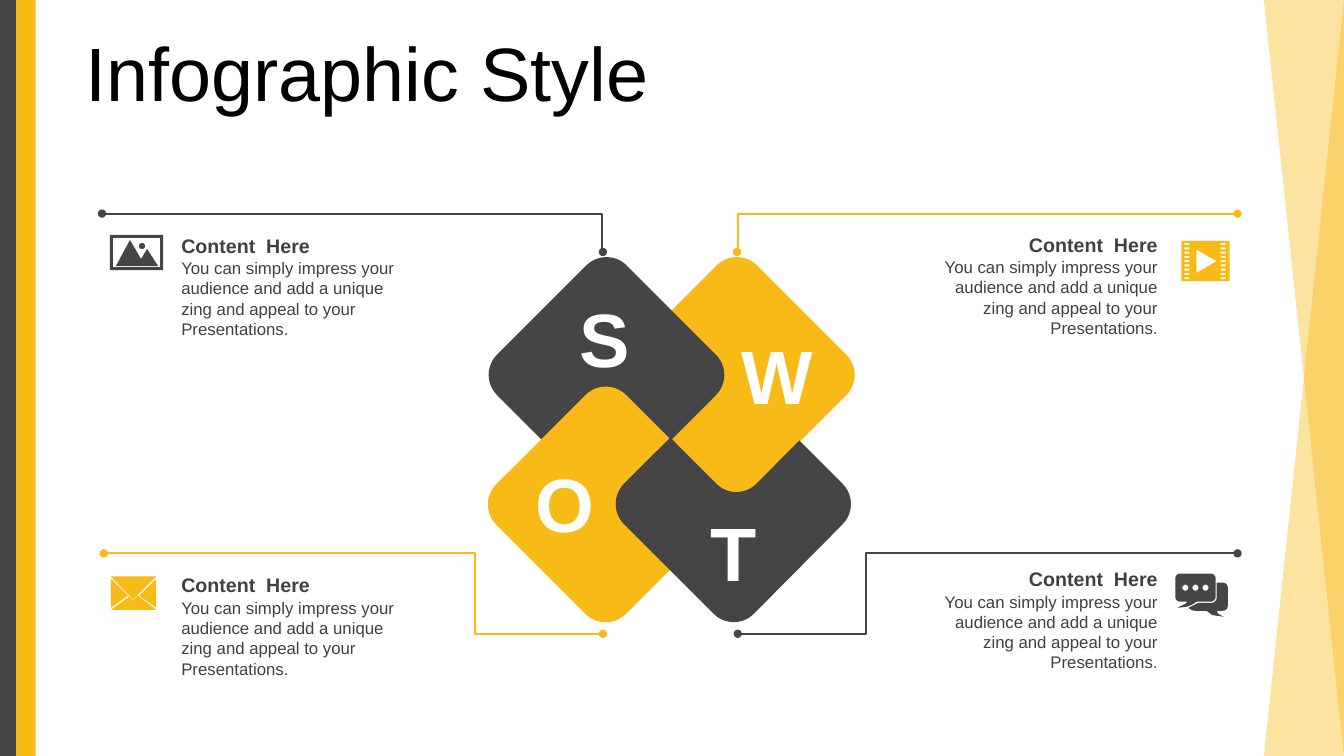
from math import cos, hypot, pi, sin

from lxml.etree import SubElement
from pptx import Presentation
from pptx.dml.color import RGBColor
from pptx.enum.shapes import MSO_CONNECTOR as CONN, MSO_SHAPE as SHAPE
from pptx.enum.text import MSO_ANCHOR as ANCHOR, MSO_AUTO_SIZE as FIT, PP_ALIGN as ALIGN
from pptx.oxml.ns import qn
from pptx.util import Pt

DARK = RGBColor(0x45, 0x45, 0x45)
YELLOW = RGBColor(0xF8, 0xBA, 0x16)
BODY = RGBColor(0x40, 0x40, 0x40)
BLACK = RGBColor(0, 0, 0)
WHITE = RGBColor(255, 255, 255)
HEADING = "Content  Here"
MESSAGE = ("You can simply impress your audience and add a unique "
           "zing and appeal to your Presentations.")


def paint(sp, color):
    sp.shadow.inherit = False
    sp.fill.solid()
    sp.fill.fore_color.rgb = color
    sp.line.fill.background()


def add_block(s, kind, x, y, w, h, color):
    sp = s.shapes.add_shape(kind, Pt(x), Pt(y), Pt(w), Pt(h))
    paint(sp, color)
    return sp


def add_wedge(s, flip_v):
    sp = add_block(s, SHAPE.RIGHT_TRIANGLE, 902.8, 0, 57.2, 540, YELLOW)
    xfrm = sp.element.spPr.find(qn("a:xfrm"))
    xfrm.set("flipH", "1")
    if flip_v:
        xfrm.set("flipV", "1")
    color = sp.element.spPr.find(qn("a:solidFill"))[0]
    SubElement(color, qn("a:alpha")).set("val", "40000")


def add_diamond(s, x, y, color):
    sp = add_block(s, SHAPE.ROUNDED_RECTANGLE, x, y, 131, 131, color)
    sp.adjustments[0] = 0.156
    sp.rotation = 315


def add_text(s, text, x, y, w, h, size=12, color=BODY, bold=False,
             align=ALIGN.LEFT, anchor=ANCHOR.TOP, fit=FIT.SHAPE_TO_FIT_TEXT, spacing=1.0):
    tf = s.shapes.add_textbox(Pt(x), Pt(y), Pt(w), Pt(h)).text_frame
    tf.word_wrap = True
    tf.auto_size = fit
    tf.vertical_anchor = anchor
    p = tf.paragraphs[0]
    p.alignment = align
    p.line_spacing = spacing
    r = p.add_run()
    r.text = text
    r.font.name = "Arial"
    r.font.size = Pt(size)
    r.font.bold = bold
    r.font.color.rgb = color


def add_note(s, x, y, w, body_gap, align):
    add_text(s, HEADING, x, y, w, 24.5, size=14, bold=True, align=align, anchor=ANCHOR.MIDDLE)
    add_text(s, MESSAGE, x, y + body_gap, w, 65.5, align=align)


def add_leader(s, start, end, bend, color):
    c = s.shapes.add_connector(CONN.ELBOW, *(Pt(v) for v in start + end))
    c.line.color.rgb = color
    c.line.width = Pt(1.5)
    spPr = c.element.spPr
    guide = SubElement(spPr.find(qn("a:prstGeom")).find(qn("a:avLst")), qn("a:gd"))
    guide.set("name", "adj1")
    guide.set("fmla", f"val {bend}")
    for tag in ("a:headEnd", "a:tailEnd"):
        SubElement(spPr.find(qn("a:ln")), qn(tag)).set("type", "oval")
    SubElement(spPr, qn("a:effectLst"))


def add_outline(s, contours, color):
    contours = [[(Pt(x), Pt(y)) for x, y in c] for c in contours]
    builder = s.shapes.build_freeform(*contours[0][0])
    for i, contour in enumerate(contours):
        if i:
            builder.move_to(*contour[0])
        builder.add_line_segments(contour[1:], close=True)
    paint(builder.convert_to_shape(), color)


def box(left, top, right, bottom):
    return [(left, top), (right, top), (right, bottom), (left, bottom)]


def circle(x, y, radius=2.16, steps=24):
    angles = [2 * pi * i / steps for i in range(steps)]
    return [(x + radius * cos(a), y + radius * sin(a)) for a in angles]


def rounded(corners, steps=10):
    def toward(a, b, d):
        k = d / hypot(b[0] - a[0], b[1] - a[1])
        return tuple(a[i] + k * (b[i] - a[i]) for i in (0, 1))

    points = []
    for i, corner in enumerate(corners):
        if len(corner) == 2:
            points.append(corner)
            continue
        before, after, d = corners[i - 1], corners[(i + 1) % len(corners)], corner[2]
        curve = [toward(corner, before, d), toward(corner, before, 0.45 * d),
                 toward(corner, after, 0.45 * d), toward(corner, after, d)]
        for n in range(steps + 1):
            t = n / steps
            weights = ((1 - t) ** 3, 3 * t * (1 - t) ** 2, 3 * t * t * (1 - t), t ** 3)
            points.append(tuple(sum(w * q[k] for w, q in zip(weights, curve)) for k in (0, 1)))
    return points


def add_swot(s):
    add_diamond(s, 460.8, 202.3, YELLOW)
    add_diamond(s, 367.7, 202.3, DARK)
    add_diamond(s, 367.2, 294.8, YELLOW)
    add_outline(s, [rounded([(478.8, 312.5), (526, 360, 20.4), (571, 314.6),
                             (616.3, 360, 20.4), (524.2, 452.9, 20.4), (431.3, 360, 20.4)])], DARK)
    for letter, x, y in (("S", 389.5, 205.2), ("W", 512.6, 231.1),
                         ("O", 360.7, 322.6), ("T", 481.7, 357.8)):
        add_text(s, letter, x, y, 85, 72.7, size=54, color=WHITE, bold=True, align=ALIGN.CENTER)


def add_mail_icon(s):
    add_outline(s, [
        [(98.6, 425.5), (111.6, 435.6), (79.2, 435.6), (92.2, 426.2), (95, 429.1)],
        [(111.6, 413.3), (111.6, 434.2), (99.4, 425.5)],
        [(79.2, 413.3), (91.4, 425.5), (79.2, 434.2)],
        [(79.2, 411.8), (111.6, 411.8), (95, 428.4)]], YELLOW)


def add_chat_icon(s):
    front = rounded([(839.5, 409.7, 3.6), (868.3, 409.7, 3.6), (868.3, 429.8, 3.6),
                     (854.6, 429.8), (850.3, 433.2, 4), (841, 434.2), (846.7, 431.3),
                     (848.2, 429.8), (839.5, 429.8, 3.6)])
    back = rounded([(869, 416.2), (877, 416.2, 3.6), (877, 436.3, 3.6), (869, 436.3),
                    (870.2, 438.6), (874.1, 440.6), (866, 439.4), (861.8, 436.3),
                    (851, 436.3, 2.5), (848.9, 434.2), (856.1, 430.6), (869, 430.6, 3.6)])
    dots = [circle(846.7 + 7.2 * i, 419.8) for i in range(3)]
    add_outline(s, [front, back, *dots], DARK)


def add_landscape_icon(s):
    hills = [(92.9, 171.4), (100.8, 185), (105.1, 177.8), (113, 190.1), (82.8, 190.1)]
    add_outline(s, [box(78.5, 167.8, 116.6, 193), box(80.6, 169.9, 114.5, 190.8),
                    hills, circle(101.5, 175.7)], DARK)


def add_film_icon(s):
    holes = [box(x, 173.7 + 3.05 * row, x + 3.6, 175.1 + 3.05 * row)
             for x in (846, 871.9) for row in range(9)]
    play = [(854.6, 178.2), (854.6, 195), (869, 186.6)]
    add_outline(s, [box(843.8, 172.1, 878.4, 200.9), play, *holes], YELLOW)


def main():
    prs = Presentation()
    prs.slide_width, prs.slide_height = Pt(960), Pt(540)
    s = prs.slides.add_slide(prs.slide_layouts[6])
    add_wedge(s, True)
    add_block(s, SHAPE.RECTANGLE, 0, 0, 13.7, 540, DARK)
    add_block(s, SHAPE.RECTANGLE, 11.5, 0, 14, 540, YELLOW)
    add_wedge(s, False)
    add_text(s, "Infographic Style", 54, 26.6, 882.7, 56.9, size=54, color=BLACK,
             anchor=ANCHOR.MIDDLE, fit=FIT.NONE, spacing=0.9)
    add_swot(s)
    for x, y, w, body_gap, align in ((122.4, 163.4, 176, 17.3, ALIGN.LEFT),
                                     (122.4, 405.4, 176, 18, ALIGN.LEFT),
                                     (662.4, 162.7, 171.7, 17.3, ALIGN.RIGHT),
                                     (662.4, 401, 171.7, 18, ALIGN.RIGHT)):
        add_note(s, x, y, w, body_gap, align)
    for start, end, bend, color in (((526.5, 180), (884, 152.6), 200, YELLOW),
                                    ((527, 452.7), (884, 395.3), 25700, DARK),
                                    ((430.7, 180), (72.9, 152.6), 200, DARK),
                                    ((430.7, 452.7), (74.2, 395.3), 25700, YELLOW)):
        add_leader(s, start, end, bend, color)
    add_mail_icon(s)
    add_chat_icon(s)
    add_landscape_icon(s)
    add_film_icon(s)
    prs.save("out.pptx")


if __name__ == "__main__":
    main()
